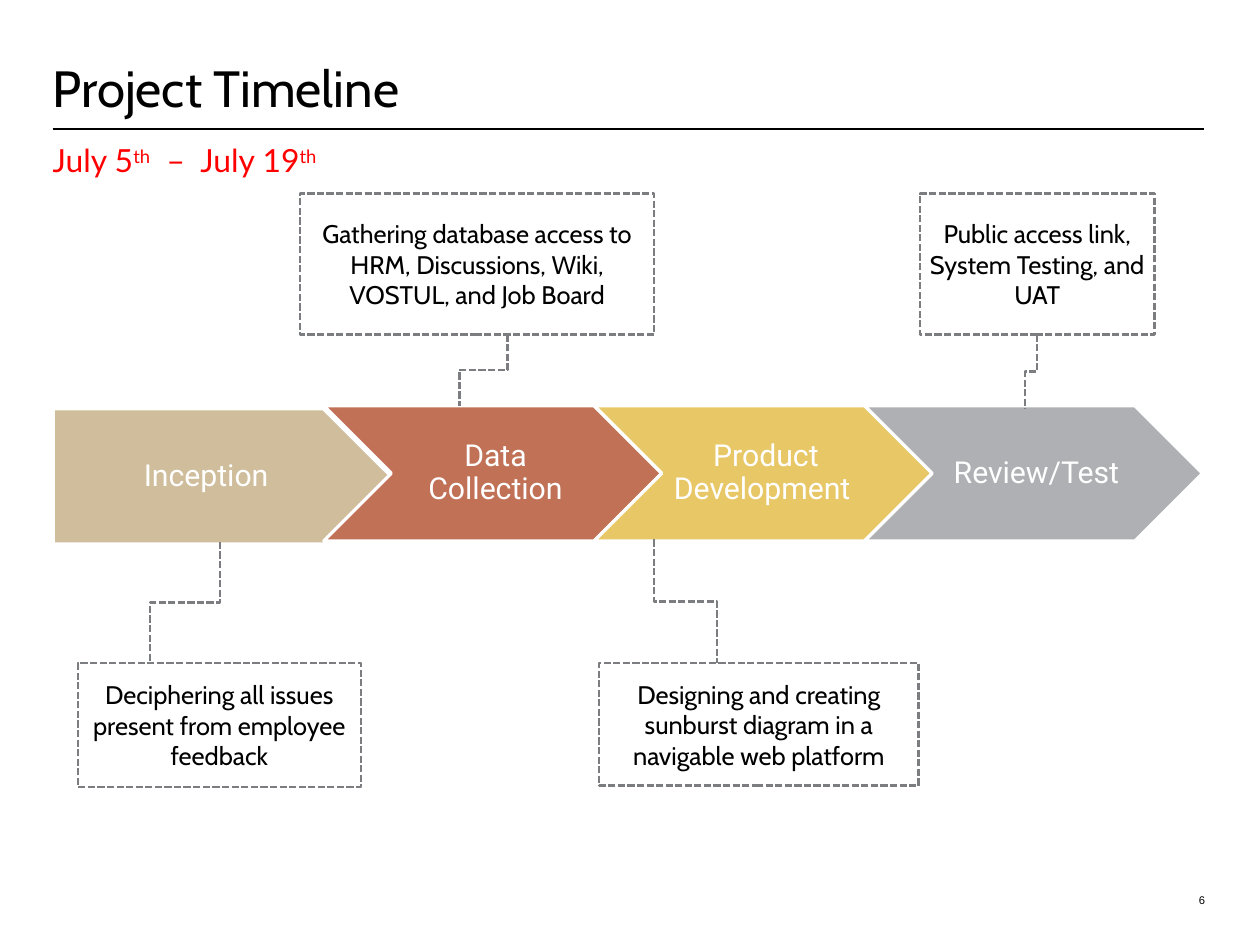
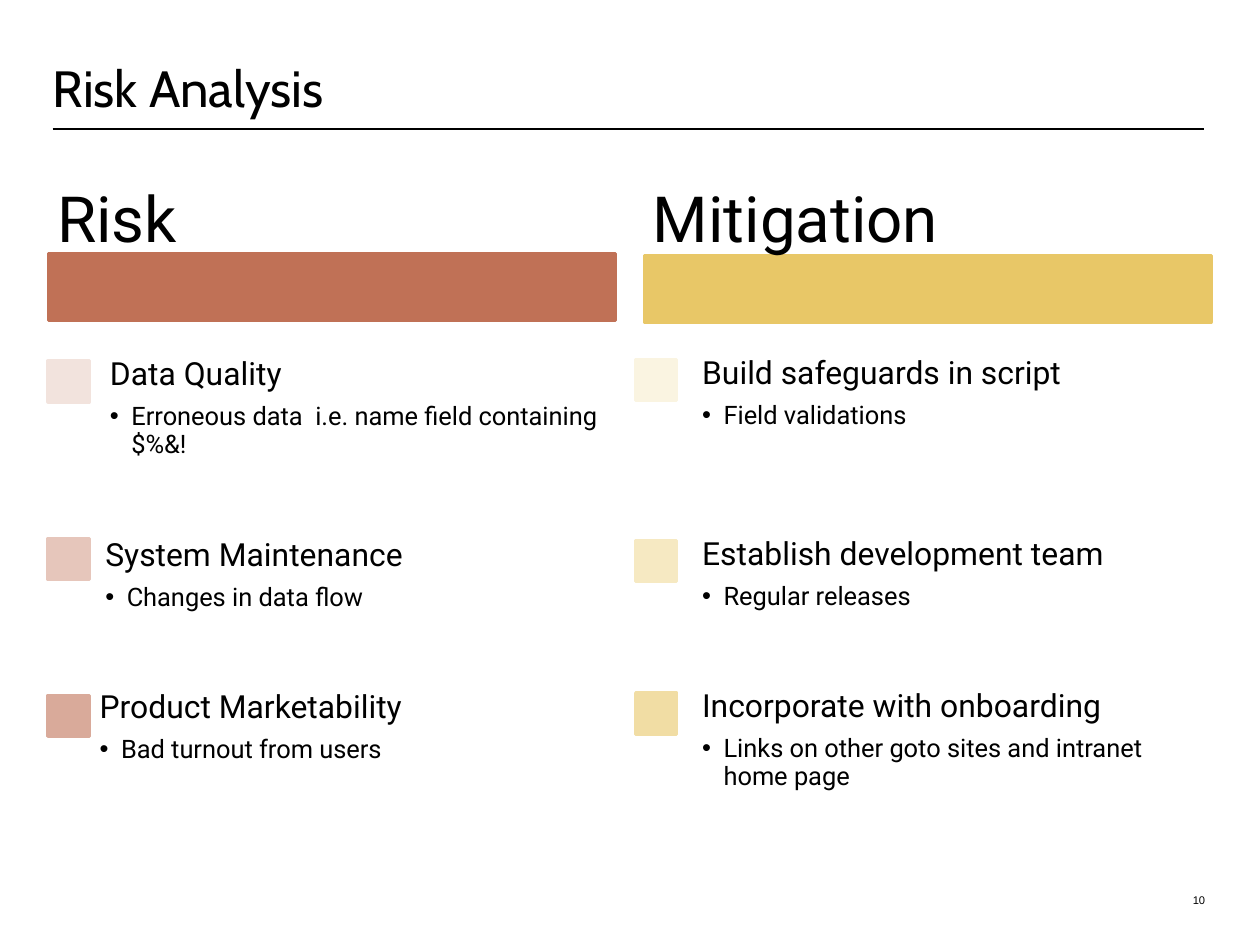
from dataclasses import dataclass

from lxml.etree import SubElement
from pptx import Presentation
from pptx.dml.color import RGBColor
from pptx.enum.dml import MSO_LINE
from pptx.enum.shapes import MSO_CONNECTOR as Link, MSO_SHAPE as Shape
from pptx.enum.text import MSO_ANCHOR as Anchor, PP_ALIGN as Align
from pptx.oxml.ns import qn
from pptx.util import Pt


@dataclass(frozen=True)
class Theme:
    # Colours
    ink: str = "000000"
    paper: str = "FFFFFF"
    alert: str = "FF0000"
    dash: str = "7B7D80"
    sand: str = "CFBD9B"
    clay: str = "C07156"
    gold: str = "E8C767"
    steel: str = "AEB0B3"
    clay_tints: tuple = ("F2E3DD", "E6C6BB", "D9AA9A")
    gold_tints: tuple = ("FAF4E1", "F6E9C2", "F1DDA4")
    # Fonts
    title_font: str = "Cabin"
    body_font: str = "Roboto"
    date_font: str = "Lato"
    number_font: str = "Arial"
    # Type sizes
    heading: int = 40
    title: int = 32
    item: int = 20
    phase: int = 19
    detail: int = 16
    number: int = 7


THEME = Theme()
LEFT, CONTENT_WIDTH = 33.12, 723.6


def rgb(code):
    return RGBColor.from_string(code)


class Deck:
    def __init__(self, theme, width, height):
        self.theme = theme
        self.prs = Presentation()
        self.prs.slide_width, self.prs.slide_height = Pt(width), Pt(height)
        self.slide = None

    def new_slide(self, title, number):
        """Start a slide with its title, rule and page number."""
        t = self.theme
        self.slide = self.prs.slides.add_slide(self.prs.slide_layouts[6])
        rule = self.slide.shapes.add_connector(
            Link.STRAIGHT, Pt(LEFT), Pt(81.36), Pt(LEFT + CONTENT_WIDTH), Pt(81.36))
        self.style_link(rule, t.ink, 1.25)

        page = self.text_frame((725.04, 540, 32.4, 30.24), Anchor.BOTTOM)
        self.paragraph(page, [number], t.number_font, t.number, align=Align.RIGHT)
        heading = self.text_frame((LEFT, 0, CONTENT_WIDTH, 74.16), Anchor.BOTTOM)
        self.paragraph(heading, [title], t.title_font, t.title, spacing=Pt(32))

    def style_link(self, link, color, weight):
        link.line.color.rgb = rgb(color)
        link.line.width = Pt(weight)
        SubElement(link.element.spPr, qn("a:effectLst"))

    def set_frame(self, frame, anchor, insets):
        frame.word_wrap = True
        frame.vertical_anchor = anchor
        (frame.margin_left, frame.margin_top,
         frame.margin_right, frame.margin_bottom) = map(Pt, insets)
        return frame

    def text_frame(self, box, anchor=Anchor.TOP, insets=(0, 0, 0, 0)):
        area = self.slide.shapes.add_textbox(*map(Pt, box))
        return self.set_frame(area.text_frame, anchor, insets)

    def paragraph(self, frame, runs, font, size, color=None, align=Align.LEFT,
                  spacing=None, before=0, after=0, bullet=False):
        """Fill the first paragraph or add one; a (text,) run is superscript."""
        first = frame.paragraphs[0]
        para = frame.add_paragraph() if first.runs else first
        para.alignment = align
        para.space_before, para.space_after = Pt(before), Pt(after)
        if spacing:
            para.line_spacing = spacing
        if bullet:
            props = para._p.get_or_add_pPr()
            props.set("marL", str(Pt(13.5)))
            props.set("indent", str(-Pt(13.5)))
            SubElement(props, qn("a:buFont"), typeface=self.theme.number_font)
            SubElement(props, qn("a:buChar"), char="•")
        for part in runs:
            raised = isinstance(part, tuple)
            run = para.add_run()
            run.text = part[0] if raised else part
            run.font.name, run.font.size = font, Pt(size)
            run.font.color.rgb = rgb(color or self.theme.ink)
            if raised:
                run.font._element.set("baseline", "30000")

    def block(self, kind, box, fill, line, weight=2):
        shape = self.slide.shapes.add_shape(kind, *map(Pt, box))
        shape.shadow.inherit = False
        if fill:
            shape.fill.solid()
            shape.fill.fore_color.rgb = rgb(fill)
        else:
            shape.fill.background()
        shape.line.color.rgb = rgb(line)
        shape.line.width = Pt(weight)
        return shape

    def phase(self, kind, box, fill, label, inset):
        t = self.theme
        arrow = self.block(kind, box, fill, t.paper)
        frame = self.set_frame(arrow.text_frame, Anchor.MIDDLE, (inset, 4.3, 2.2, 4.3))
        self.paragraph(frame, [label], t.body_font, t.phase, t.paper,
                       Align.CENTER, 0.9, after=6.65)

    def callout(self, box, text):
        t = self.theme
        note = self.block(Shape.RECTANGLE, box, None, t.dash, 1.5)
        note.line.dash_style = MSO_LINE.SQUARE_DOT
        frame = self.set_frame(note.text_frame, Anchor.MIDDLE, (0, 0, 0, 0))
        self.paragraph(frame, [text], t.title_font, t.detail,
                       align=Align.CENTER, before=9.6)

    def elbow(self, x1, y1, x2, y2):
        """Dashed down-across-down link: a sideways elbow turned by 90 degrees."""
        mid_x, mid_y = (x1 + x2) / 2, (y1 + y2) / 2
        half_w, half_h = (x2 - x1) / 2, (y2 - y1) / 2
        link = self.slide.shapes.add_connector(
            Link.ELBOW, Pt(mid_x - half_h), Pt(mid_y + half_w),
            Pt(mid_x + half_h), Pt(mid_y - half_w))
        link.element.spPr.find(qn("a:xfrm")).set("rot", "5400000")
        link.line.dash_style = MSO_LINE.SQUARE_DOT
        self.style_link(link, self.theme.dash, 1.5)

    def column_head(self, x, bar_y, color, label):
        t = self.theme
        self.block(Shape.RECTANGLE, (x + 0.5, bar_y, 356.4, 41.76), color, color)
        frame = self.text_frame((x, 101.52, 356.4, 75.6), Anchor.MIDDLE,
                                (5.76, 4.3, 5.76, 4.3))
        self.paragraph(frame, [label], t.body_font, t.heading, spacing=0.9, after=14)

    def item(self, marker, tint, corner, name, detail):
        t = self.theme
        self.block(Shape.RECTANGLE, (*marker, 25.92, 25.92), tint, tint)
        frame = self.text_frame((*corner, 331.2, 61.2), Anchor.MIDDLE, (11.52,) * 4)
        self.paragraph(frame, [name], t.body_font, t.item, spacing=0.9, after=7)
        self.paragraph(frame, [detail], t.body_font, t.detail, spacing=0.9,
                       after=2.4, bullet=True)


def timeline(deck):
    t = deck.theme
    deck.new_slide("Project Timeline", "6")
    dates = deck.text_frame((LEFT, 88.56, CONTENT_WIDTH, 21.6))
    deck.paragraph(dates, ["July 5", ("th",), "  –  July 19", ("th",)],
                   t.date_font, t.item, t.alert, after=6)

    # Phases
    phases = [(Shape.PENTAGON, 257, t.sand, "Inception ", 7.9),
              (Shape.CHEVRON, 255, t.clay, "Data Collection", 5.76),
              (Shape.CHEVRON, 255, t.gold, "Product Development ", 5.76),
              (Shape.CHEVRON, 255, t.steel, "Review/Test", 5.76)]
    for i, (kind, y, color, label, inset) in enumerate(phases):
        deck.phase(kind, (33.5 + 170 * i, y, 212.4, 85), color, label, inset)

    # Callouts and the links between them and their phases
    callouts = [
        ((48.96, 416.9, 177.84, 77.76), (138.24, 340.6, 94.32, 416.9),
         "Deciphering all issues present from employee feedback"),
        ((188.64, 121.7, 222.5, 88.56), (318.96, 210.24, 288.72, 254.9),
         "Gathering database access to HRM, Discussions, Wiki, VOSTUL, and Job Board"),
        ((376.56, 416.9, 200.9, 77), (411.12, 339.1, 450.72, 416.9),
         "Designing and creating sunburst diagram in a navigable web platform"),
        ((578.16, 121.7, 147.6, 88.56), (651.96, 210.24, 644.4, 257),
         "Public access link, System Testing, and UAT"),
    ]
    for box, route, text in callouts:
        deck.callout(box, text)
        deck.elbow(*route)


def risks(deck):
    t = deck.theme
    deck.new_slide("Risk Analysis", "10")
    # Each item: marker top, text left and top, name, detail
    columns = [
        (30.24, 159.5, t.clay, "Risk", 30.24, t.clay_tints, [
            (226.8, (57.6, 226.1), "Data Quality",
             "Erroneous data  i.e. name field containing $%&!"),
            (338.4, (54.72, 331.2), "System Maintenance", "Changes in data flow"),
            (437, (51.12, 426.9), "Product Marketability", "Bad turnout from users")]),
        (404.64, 160.6, t.gold, "Mitigation", 399.6, t.gold_tints, [
            (226.1, (429.84, 217), "Build safeguards in script", "Field validations"),
            (339.84, (429.84, 330.5), "Establish development team", "Regular releases"),
            (435.6, (429.84, 434.9), "Incorporate with onboarding",
             "Links on other goto sites and intranet home page")]),
    ]
    for x, bar_y, color, label, marker_x, tints, items in columns:
        deck.column_head(x, bar_y, color, label)
        for tint, (marker_y, corner, name, detail) in zip(tints, items):
            deck.item((marker_x, marker_y), tint, corner, name, detail)


def main():
    deck = Deck(THEME, 792, 594)
    timeline(deck)
    risks(deck)
    deck.prs.save("out.pptx")


if __name__ == "__main__":
    main()
